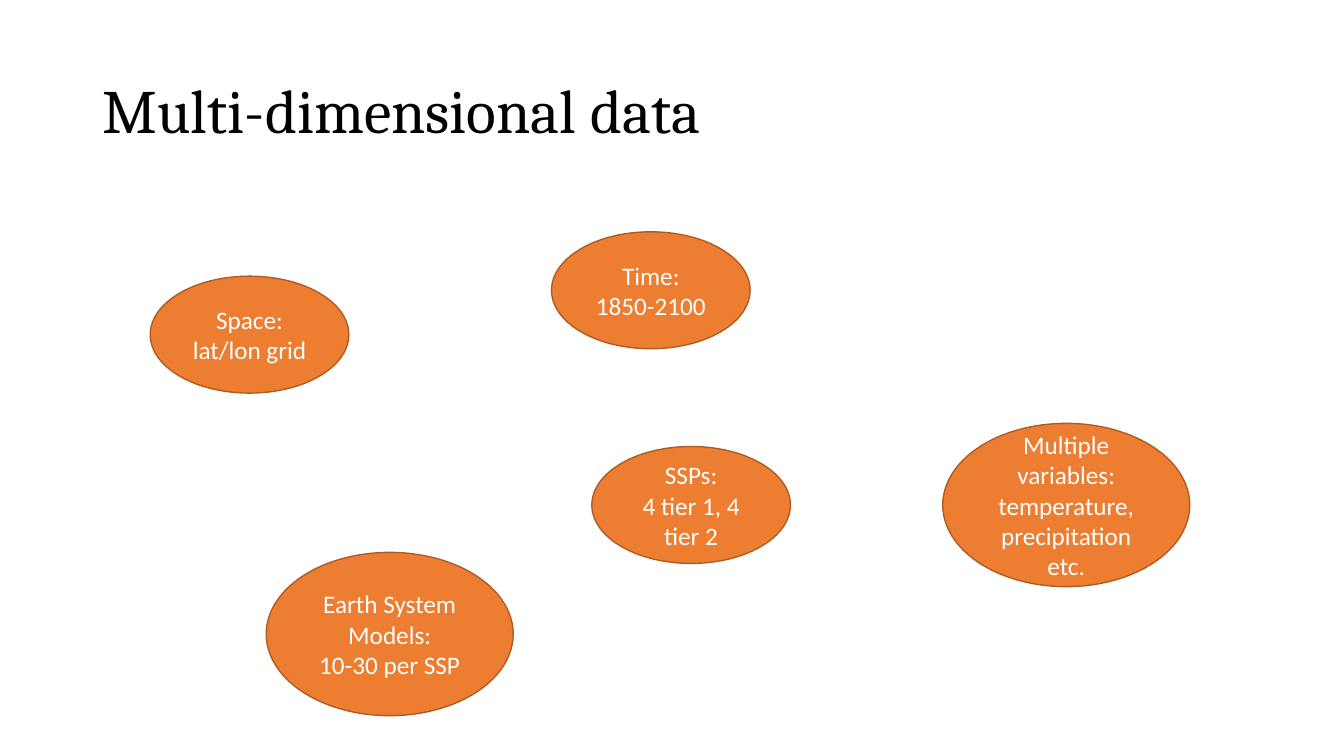
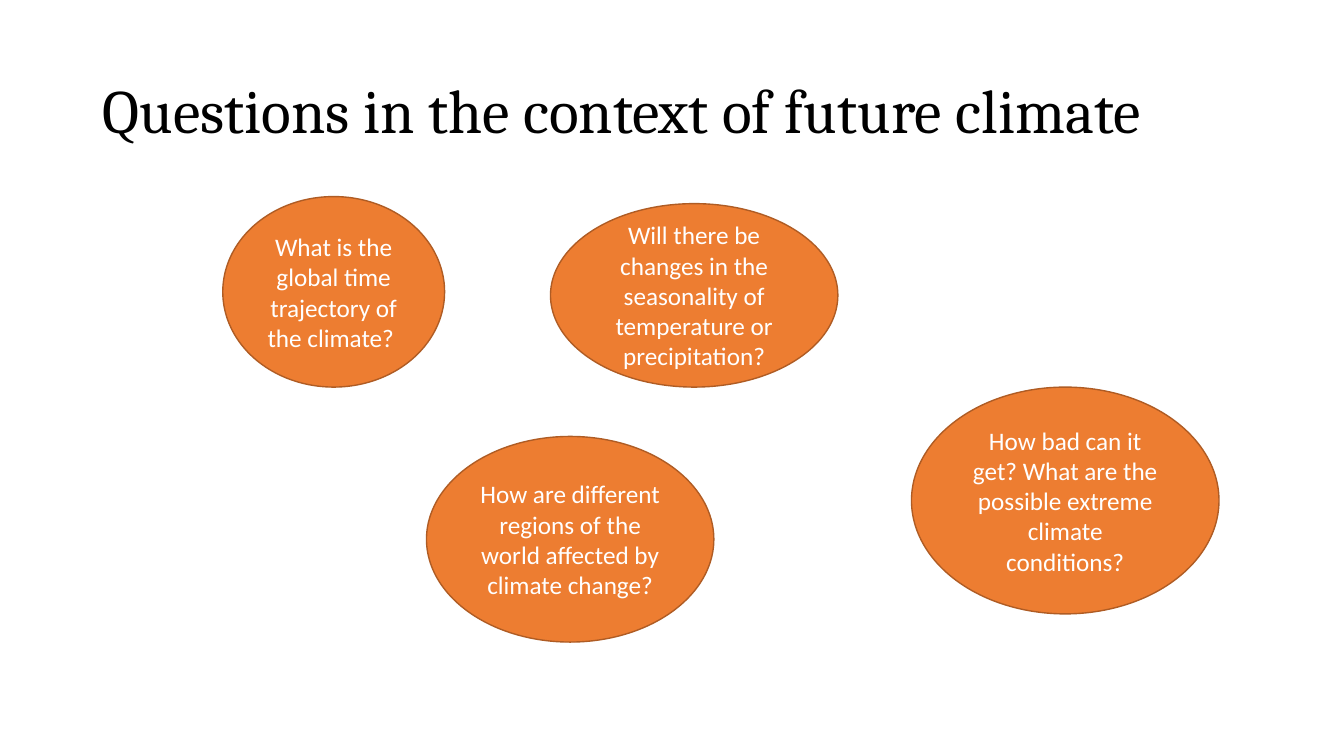
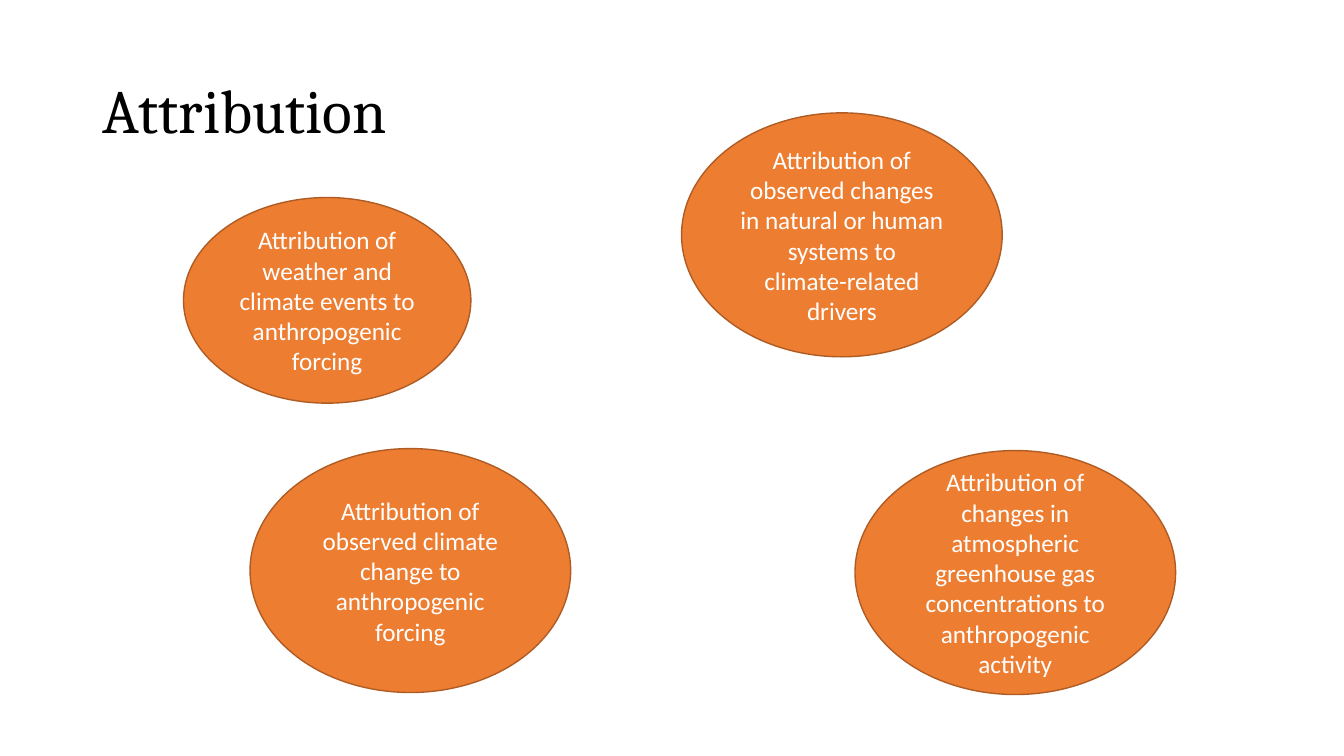
from dataclasses import dataclass

from pptx import Presentation
from pptx.dml.color import RGBColor
from pptx.enum.shapes import MSO_SHAPE
from pptx.enum.text import MSO_ANCHOR, PP_ALIGN
from pptx.presentation import Presentation as Deck
from pptx.slide import Slide
from pptx.text.text import TextFrame
from pptx.util import Inches, Pt

ELLIPSE = MSO_SHAPE.OVAL
MIDDLE = MSO_ANCHOR.MIDDLE
LEFT = PP_ALIGN.LEFT
CENTER = PP_ALIGN.CENTER
BLANK_LAYOUT = 6


@dataclass(frozen=True)
class TextStyle:
    font: str
    size: int
    color: str
    align: PP_ALIGN
    line_spacing: float


@dataclass(frozen=True)
class Theme:
    bubble_fill: str = "ED7D31"
    bubble_line: str = "AF5C24"
    line_width: float = 1
    title: TextStyle = TextStyle("Cambria", 44, "000000", LEFT, 0.9)
    bubble: TextStyle = TextStyle("Calibri", 18, "FFFFFF", CENTER, 1.0)


@dataclass(frozen=True)
class Size:
    width: float
    height: float


@dataclass(frozen=True)
class Bubble:
    left: float
    top: float
    size: Size
    paragraphs: tuple[str, ...]


@dataclass(frozen=True)
class Topic:
    title: str
    bubbles: tuple[Bubble, ...]


THEME = Theme()

SMALL = Size(1.97, 1.16)
MEDIUM = Size(2.45, 1.62)
LARGE = Size(2.85, 2.04)
HUGE = Size(3.18, 2.42)

TOPICS = (
    Topic("Multi-dimensional data", (
        Bubble(1.49, 2.74, SMALL, ("Space: lat/lon grid",)),
        Bubble(5.47, 2.3, SMALL, ("Time:", "1850-2100")),
        Bubble(2.64, 5.48, MEDIUM, ("Earth System Models:", "10-30 per SSP")),
        Bubble(5.87, 4.43, SMALL, ("SSPs:", "4 tier 1, 4 tier 2")),
        Bubble(9.35, 4.2, MEDIUM,
               ("Multiple variables: temperature, precipitation etc.",)),
    )),
    Topic("Questions in the context of future climate", (
        Bubble(2.21, 1.95, Size(2.2, 1.89),
               ("What is the global time trajectory of the climate? ",)),
        Bubble(4.23, 4.33, LARGE,
               ("How are different regions of the world affected by climate change?",)),
        Bubble(5.46, 2.02, Size(2.85, 1.82),
               ("Will there be changes in the seasonality of temperature or precipitation?",)),
        Bubble(9.04, 3.84, Size(3.05, 2.25),
               ("How bad can it get? What are the possible extreme climate conditions?",)),
    )),
    Topic("Attribution", (
        Bubble(1.82, 1.96, LARGE,
               ("Attribution of weather and climate events to anthropogenic forcing",)),
        Bubble(6.76, 1.12, HUGE,
               ("Attribution of observed changes in natural or human systems to",
                "climate-related drivers")),
        Bubble(2.48, 4.45, HUGE,
               ("Attribution of observed climate change to anthropogenic forcing",)),
        Bubble(8.48, 4.47, HUGE,
               ("Attribution of changes in atmospheric greenhouse gas "
                "concentrations to anthropogenic activity",)),
    )),
)


def write_text(frame: TextFrame, paragraphs: tuple[str, ...], style: TextStyle) -> None:
    frame.word_wrap = True
    frame.vertical_anchor = MIDDLE
    font_format = {"name": style.font, "size": Pt(style.size)}
    for index, text in enumerate(paragraphs):
        para = frame.add_paragraph() if index else frame.paragraphs[0]
        para.alignment = style.align
        para.line_spacing = style.line_spacing
        span = para.add_run()
        span.text = text
        for attribute, value in font_format.items():
            setattr(span.font, attribute, value)
        span.font.color.rgb = RGBColor.from_string(style.color)


def add_title(page: Slide, title: str) -> None:
    box = page.shapes.add_textbox(Inches(0.92), Inches(0.4), Inches(11.5), Inches(1.45))
    write_text(box.text_frame, (title,), THEME.title)


def add_bubble(page: Slide, bubble: Bubble) -> None:
    shape = page.shapes.add_shape(
        ELLIPSE, Inches(bubble.left), Inches(bubble.top),
        Inches(bubble.size.width), Inches(bubble.size.height))
    shape.shadow.inherit = False
    shape.fill.solid()
    shape.fill.fore_color.rgb = RGBColor.from_string(THEME.bubble_fill)
    shape.line.color.rgb = RGBColor.from_string(THEME.bubble_line)
    shape.line.width = Pt(THEME.line_width)
    write_text(shape.text_frame, bubble.paragraphs, THEME.bubble)


def add_topic(deck: Deck, topic: Topic) -> None:
    page = deck.slides.add_slide(deck.slide_layouts[BLANK_LAYOUT])
    add_title(page, topic.title)
    for bubble in topic.bubbles:
        add_bubble(page, bubble)


def main() -> None:
    deck = Presentation()
    deck.slide_width = Inches(13.33)
    deck.slide_height = Inches(7.5)
    for topic in TOPICS:
        add_topic(deck, topic)
    deck.save("out.pptx")


if __name__ == "__main__":
    main()
